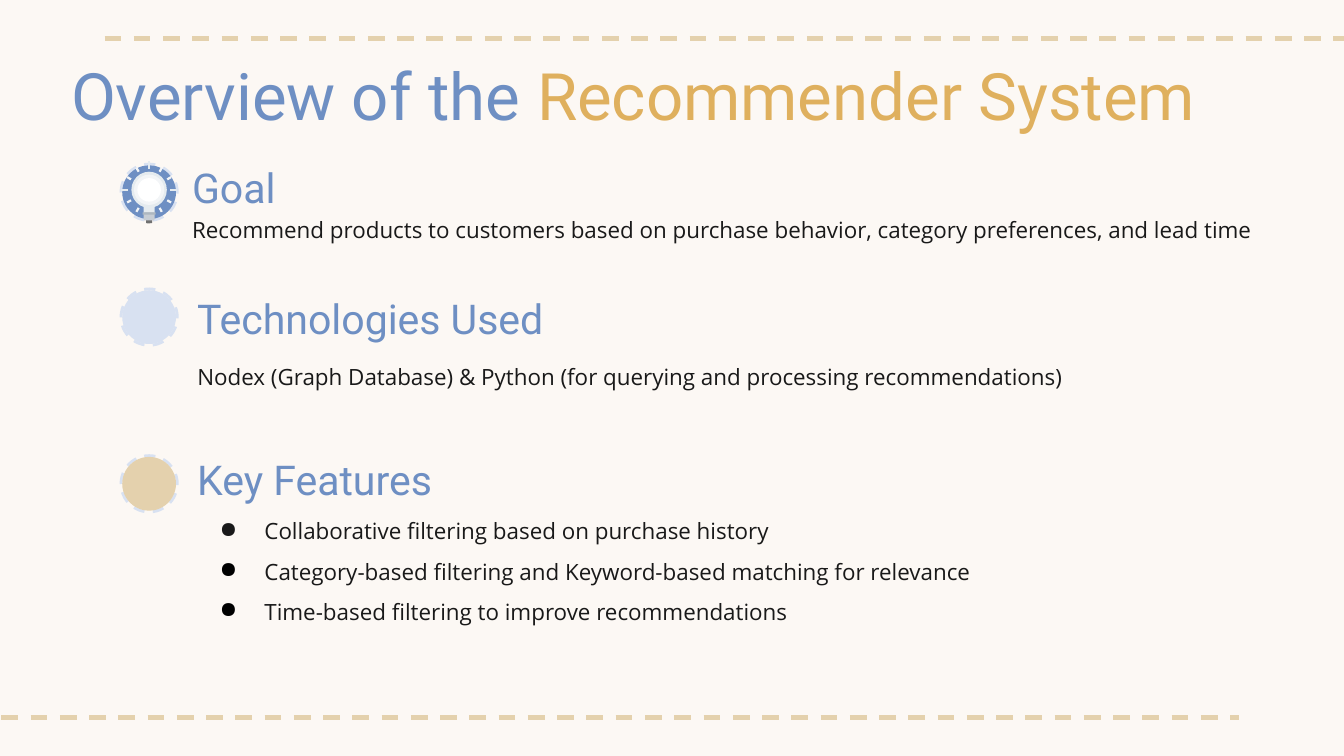
import math
from dataclasses import dataclass

import pptx
import pptx.dml.color
import pptx.enum.dml
import pptx.enum.shapes
import pptx.enum.text
import pptx.oxml.ns
import pptx.util
from lxml import etree

Pt = pptx.util.Pt
RGB = pptx.dml.color.RGBColor.from_string
SHAPE = pptx.enum.shapes.MSO_SHAPE
ANCHOR = pptx.enum.text.MSO_ANCHOR
DASH = pptx.enum.dml.MSO_LINE.DASH
qn = pptx.oxml.ns.qn


@dataclass(frozen=True)
class Theme:
    paper: str = "FCF8F4"
    blue: str = "6E8FC3"
    pale_blue: str = "D8E1F1"
    gold: str = "DFB05E"
    sand: str = "E4D1AD"
    ink: str = "191919"
    black: str = "000000"
    glass: str = "E5EBEF"
    glow: str = "F3F5F7"
    white: str = "FFFFFF"
    metal: str = "C7CDD4"
    collar: str = "ADB7C0"
    tip: str = "707070"
    title: int = 35
    heading: int = 22
    body: int = 12
    head_font: str = "Roboto"
    body_font: str = "Open Sans"


T = Theme()

prs = pptx.Presentation()
prs.slide_width, prs.slide_height = Pt(720), Pt(405)
s = prs.slides.add_slide(prs.slide_layouts[6])
s.background.fill.solid()
s.background.fill.fore_color.rgb = RGB(T.paper)


def add_text(box, paragraphs, size, font, anchor=ANCHOR.TOP):
    """Add a text box; each paragraph is a list of (text, colour) runs."""
    tf = s.shapes.add_textbox(*map(Pt, box)).text_frame
    tf.word_wrap = True
    tf.vertical_anchor = anchor
    tf.margin_left = tf.margin_right = tf.margin_top = tf.margin_bottom = Pt(7.2)
    for i, runs in enumerate(paragraphs):
        p = tf.add_paragraph() if i else tf.paragraphs[0]
        for text, color in runs:
            r = p.add_run()
            r.text = text
            r.font.size, r.font.name = Pt(size), font
            r.font.color.rgb = RGB(color)
    return tf


def add_centered(kind, cx, cy, w, h, fill=None):
    """Add a shape around its centre; without a fill it gets a dashed outline."""
    sp = s.shapes.add_shape(kind, Pt(cx - w / 2), Pt(cy - h / 2), Pt(w), Pt(h))
    sp.shadow.inherit = False
    if fill:
        sp.fill.solid()
        sp.fill.fore_color.rgb = RGB(fill)
        sp.line.fill.background()
    else:
        sp.fill.background()
        sp.line.color.rgb = RGB(T.pale_blue)
        sp.line.width, sp.line.dash_style = Pt(1.5), DASH


# Dashed borders, then the rays of the bulb: x1, y1, x2, y2, colour, width, dash
borders = [(56, 20.6, 735, 20.6, T.sand, 2.25, DASH),
           (-15, 384.4, 664, 384.4, T.sand, 2.25, DASH)]
icon_x, bulb_y = 79.9, 101.7
rays = []
for step in range(12):
    if step == 3:  # the socket takes the place of the downward ray
        continue
    a = math.radians(30 * step)
    inner, outer = (11.2, 15.2) if step % 3 == 0 else (11.2, 13.6)
    rays.append((icon_x + inner * math.cos(a), bulb_y + inner * math.sin(a),
                 icon_x + outer * math.cos(a), bulb_y + outer * math.sin(a),
                 T.glass if step % 3 == 0 else T.glow, 1.2, None))

# Icon discs
for cy, fill in [(103, T.blue), (169.9, T.pale_blue), (259.2, T.sand)]:
    add_centered(SHAPE.OVAL, icon_x, cy, 30.2, 30.2)
    add_centered(SHAPE.OVAL, icon_x, cy, 28.8, 28.8, fill)

for x1, y1, x2, y2, color, width, dash in borders + rays:
    ln = s.shapes.add_connector(pptx.enum.shapes.MSO_CONNECTOR.STRAIGHT,
                                Pt(x1), Pt(y1), Pt(x2), Pt(y2))
    ln.line.color.rgb = RGB(color)
    ln.line.width = Pt(width)
    if dash:
        ln.line.dash_style = dash
    etree.SubElement(ln._element.spPr, qn("a:effectLst"))

# Light bulb: kind, offset below bulb centre, width, height, fill
for kind, dy, w, h, fill in [
    (SHAPE.OVAL, 0, 19, 19.4, T.glass),
    (SHAPE.RECTANGLE, 10.5, 6, 5, T.glass),
    (SHAPE.OVAL, 0, 16.2, 16.2, T.glow),
    (SHAPE.OVAL, 0, 12.6, 12.6, T.white),
    (SHAPE.ROUNDED_RECTANGLE, 16.7, 3.2, 2.4, T.tip),
    (SHAPE.ROUNDED_RECTANGLE, 14.2, 5.8, 4.4, T.metal),
    (SHAPE.ROUNDED_RECTANGLE, 12.7, 7, 1.2, T.collar),
]:
    add_centered(kind, icon_x, bulb_y + dy, w, h, fill)

# Title and headings
add_text((31, 22.3, 668, 45.4),
         [[("Overview of the ", T.blue), ("Recommender System", T.gold)]],
         T.title, T.head_font)
for x, y, heading in [(95.8, 87.8, "Goal"), (98.6, 157.7, "Technologies Used"),
                      (98.6, 244.1, "Key Features")]:
    add_text((x, y, 282, 33.1), [[(heading, T.blue)]],
             T.heading, T.head_font, ANCHOR.BOTTOM)

# Body text
for x, y, w, body in [
    (95.8, 106.6, 606, "Recommend products to customers based on purchase behavior, "
                       "category preferences, and lead time"),
    (98.6, 185, 505, "Nodex (Graph Database) & Python "
                     "(for querying and processing recommendations)"),
]:
    p = add_text((x, y, w, 66), [[(body, T.ink)]], T.body, T.body_font).paragraphs[0]
    p.line_spacing, p.space_before = 1.15, Pt(12)

features = ["Collaborative filtering based on purchase history",
            "Category-based filtering and Keyword-based matching for relevance",
            "Time-based filtering to improve recommendations"]
tf = add_text((98.6, 262.8, 476, 75), [[(f, T.ink)] for f in features],
              T.body, T.body_font)
for i, p in enumerate(tf.paragraphs):
    p.line_spacing, p.space_before = 1.5, Pt(0 if i else 12)
    pPr = p._p.get_or_add_pPr()
    pPr.set("marL", str(Pt(36)))
    pPr.set("indent", str(Pt(-24)))
    clr = etree.SubElement(pPr, qn("a:buClr"))
    etree.SubElement(clr, qn("a:srgbClr"), val=T.black if i else T.ink)
    etree.SubElement(pPr, qn("a:buChar"), char="●")

prs.save("out.pptx")
